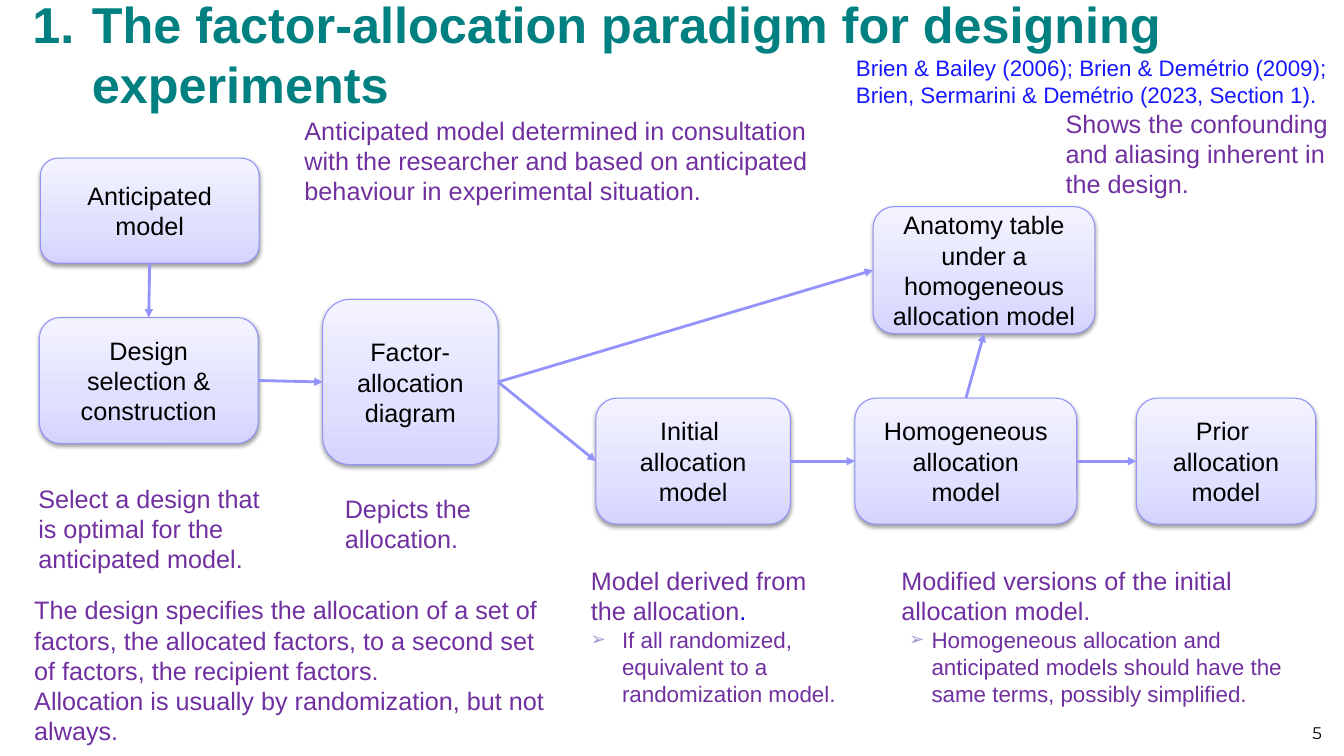
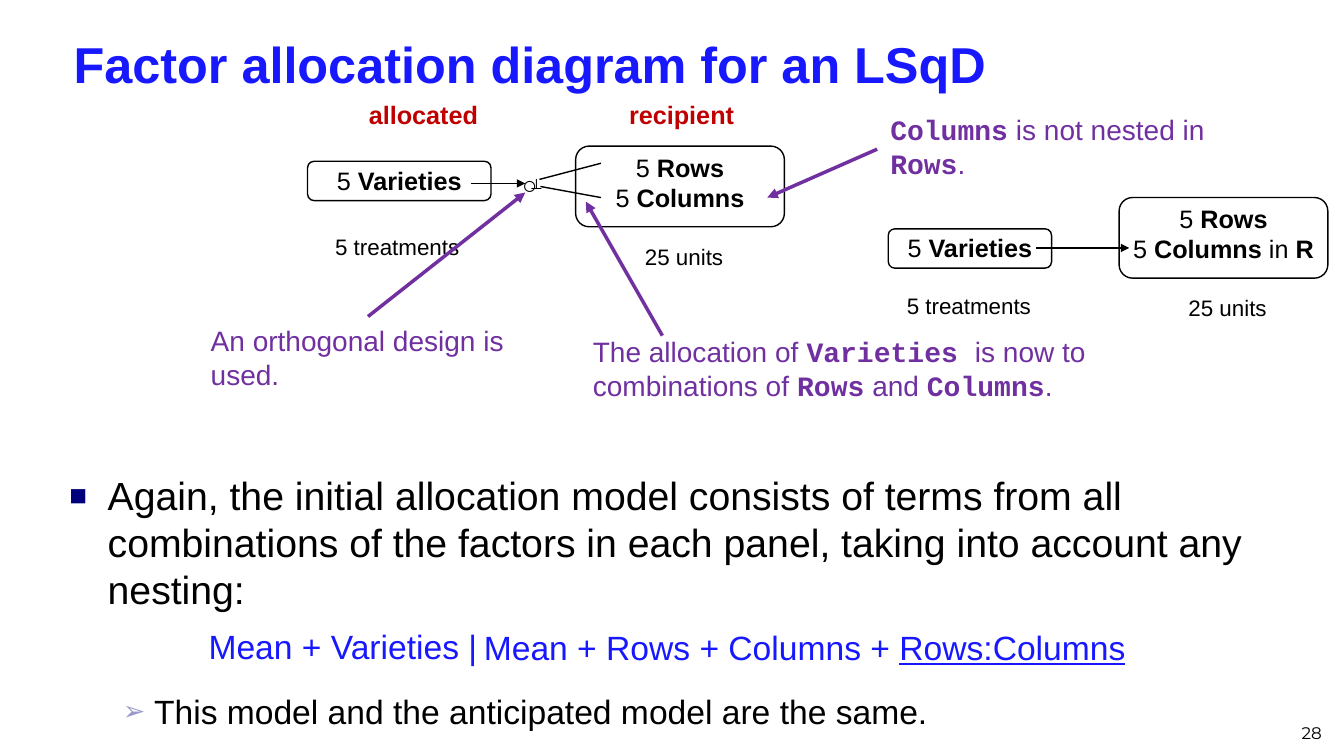
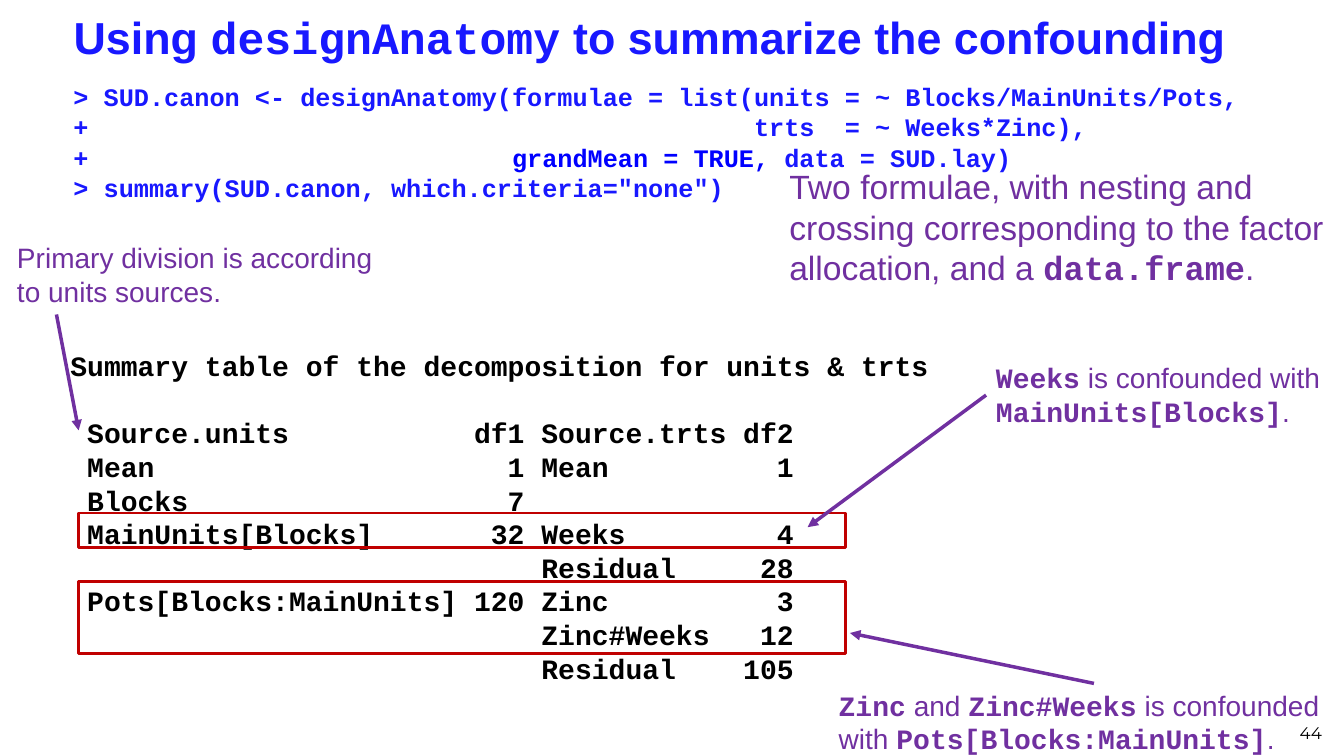
from lxml import etree
from pptx import Presentation
from pptx.dml.color import RGBColor
from pptx.enum.shapes import MSO_CONNECTOR, MSO_SHAPE
from pptx.enum.text import MSO_ANCHOR, MSO_AUTO_SIZE, PP_ALIGN
from pptx.oxml import parse_xml
from pptx.oxml.ns import nsdecls, qn
from pptx.util import Inches, Pt

STRAIGHT = MSO_CONNECTOR.STRAIGHT
RECT, ROUND = MSO_SHAPE.RECTANGLE, MSO_SHAPE.ROUNDED_RECTANGLE
TOP, MIDDLE, BOTTOM = MSO_ANCHOR.TOP, MSO_ANCHOR.MIDDLE, MSO_ANCHOR.BOTTOM
LEFT, CENTER, RIGHT = PP_ALIGN.LEFT, PP_ALIGN.CENTER, PP_ALIGN.RIGHT
NO_FIT = MSO_AUTO_SIZE.NONE

COLORS = {
    "section": "008080", "title": "1818FF", "code": "0000FF", "stop": "0000CC",
    "note": "7030A0", "text": "000000", "mark": "C00000", "node": "9393FC",
    "square": "00007D", "arrowhead": "9999CC",
}
NODE_STOPS = ((0, "D4D4FF"), (35, "E0E0FF"), (100, "F3F3FF"))
SANS, MONO, NUMBER_FONT = "Arial", "Courier New", "Montserrat"

BOLD = {"bold": True}
CODE = {"bold": True, "font": MONO}
NARROW, NORMAL, WIDE = (0.01, 0.02), (0.1, 0.05), (0.13, 0.07)
SITE_TOP, SITE_LEFT, SITE_BOTTOM, SITE_RIGHT = range(4)


def rgb(name):
    return RGBColor.from_string(COLORS[name])


def inches(box):
    return [Inches(v) for v in box]


def write(tf, paras, size, color, align=LEFT, anchor=TOP, inset=NORMAL,
          wrap=True, font=SANS, bold=False):
    """Fill a frame; a paragraph is a list of strings or (string, style) runs."""
    tf.word_wrap = wrap
    tf.auto_size = NO_FIT
    tf.vertical_anchor = anchor
    tf.margin_left = tf.margin_right = Inches(inset[0])
    tf.margin_top = tf.margin_bottom = Inches(inset[1])
    for i, runs in enumerate(paras):
        p = tf.add_paragraph() if i else tf.paragraphs[0]
        p.alignment = align
        for run in runs:
            text, style = (run, {}) if isinstance(run, str) else run
            r = p.add_run()
            r.text = text
            r.font.name = style.get("font", font)
            r.font.size = Pt(style.get("size", size))
            r.font.bold = style.get("bold", bold)
            r.font.color.rgb = rgb(style.get("color", color))
            if style.get("underline"):
                r.font.underline = True


def add_text(s, box, paras, size, color="note", **style):
    tf = s.shapes.add_textbox(*inches(box)).text_frame
    write(tf, paras, size, color, **style)
    return tf


def indent(p, left, hanging):
    pPr = p._p.get_or_add_pPr()
    pPr.set("marL", str(Inches(left)))
    pPr.set("indent", str(-Inches(hanging)))
    return pPr


def bullet(p, char, color, percent, left, hanging):
    pPr = indent(p, left, hanging)
    clr = etree.SubElement(pPr, qn("a:buClr"))
    etree.SubElement(clr, qn("a:srgbClr"), val=COLORS[color])
    etree.SubElement(pPr, qn("a:buSzPct"), val=str(percent * 1000))
    etree.SubElement(pPr, qn("a:buFont"), typeface=SANS)
    etree.SubElement(pPr, qn("a:buChar"), char=char)


def sub_bullet(p, left, hanging):
    bullet(p, "➢", "arrowhead", 80, left, hanging)


def add_line(s, start, end, color, width, arrow=True):
    line = s.shapes.add_connector(STRAIGHT, *inches(start + end))
    line.line.color.rgb = rgb(color)
    line.line.width = Pt(width)
    spPr = line.element.spPr
    if arrow:
        etree.SubElement(spPr.find(qn("a:ln")), qn("a:tailEnd"), type="triangle")
    etree.SubElement(spPr, qn("a:effectLst"))
    return line


def add_outline(s, kind, box, color, width):
    sp = s.shapes.add_shape(kind, *inches(box))
    sp.shadow.inherit = False
    sp.fill.background()
    sp.line.color.rgb = rgb(color)
    sp.line.width = Pt(width)
    return sp


def new_slide(prs, number, title_box, title, size=36, color="title"):
    s = prs.slides.add_slide(prs.slide_layouts[5])
    t = s.shapes.title
    t.left, t.top, t.width, t.height = inches(title_box)
    write(t.text_frame, [title], size, color, anchor=MIDDLE, bold=True)
    add_text(s, (10.1, 6.92, 3.11, 0.5), [[str(number)]], 12, "text",
             align=RIGHT, anchor=BOTTOM, font=NUMBER_FONT)
    return s


def add_node(s, box, lines):
    """Rounded box with a vertical gradient and a soft shadow."""
    sp = s.shapes.add_shape(ROUND, *inches(box))
    sp.line.color.rgb = rgb("node")
    sp.line.width = Pt(0.75)
    stops = "".join(f'<a:gs pos="{pos * 1000}"><a:srgbClr val="{c}"/></a:gs>'
                    for pos, c in NODE_STOPS)
    spPr = sp.element.spPr
    spPr.insert(2, parse_xml(
        f'<a:gradFill {nsdecls("a")} rotWithShape="1"><a:gsLst>{stops}</a:gsLst>'
        '<a:lin ang="16200000" scaled="0"/></a:gradFill>'))
    spPr.append(parse_xml(
        f'<a:effectLst {nsdecls("a")}><a:outerShdw blurRad="40000" dist="20000" '
        'dir="5400000" rotWithShape="0"><a:srgbClr val="000000">'
        '<a:alpha val="38000"/></a:srgbClr></a:outerShdw></a:effectLst>'))
    write(sp.text_frame, [[line] for line in lines], 18, "text",
          align=CENTER, anchor=MIDDLE, inset=WIDE)
    return sp


def link(s, source, source_site, target, target_site):
    line = add_line(s, (0, 0), (1, 1), "node", 2)
    line.begin_connect(source, source_site)
    line.end_connect(target, target_site)


def paradigm_flow(s):
    anticipated = add_node(s, (0.4, 1.57, 2.17, 1.04), ["Anticipated", "model"])
    design = add_node(s, (0.39, 3.15, 2.17, 1.25),
                      ["Design selection &", "construction"])
    diagram = add_node(s, (3.2, 2.97, 1.74, 1.64), ["Factor-allocation diagram"])
    anatomy = add_node(s, (8.66, 2.05, 2.2, 1.26),
                       ["Anatomy table under a", "homogeneous allocation model"])
    initial, homogeneous, prior = [
        add_node(s, (x, 3.95, w, 1.25), lines) for x, w, lines in (
            (5.91, 1.93, ["Initial ", "allocation model"]),
            (8.48, 2.2, ["Homogeneous allocation", "model"]),
            (11.27, 1.78, ["Prior ", "allocation model"]))]
    link(s, anticipated, SITE_BOTTOM, design, SITE_TOP)
    link(s, homogeneous, SITE_TOP, anatomy, SITE_BOTTOM)
    for source, target in ((design, diagram), (diagram, anatomy),
                           (diagram, initial), (initial, homogeneous),
                           (homogeneous, prior)):
        link(s, source, SITE_RIGHT, target, SITE_LEFT)


def paradigm_notes(s):
    for box, paras in (
        ((2.89, 1.07, 5.27, 0.97),
         [["Anticipated model determined in consultation with the researcher "
           "and based on anticipated behaviour in experimental situation."]]),
        ((0.25, 4.72, 2.48, 1.18),
         [["Select a design that is optimal for the anticipated model."]]),
        ((0.21, 5.83, 5.43, 1.58),
         [["The design specifies the allocation of a set of factors, the "
           "allocated factors, to a second set of factors, the recipient factors."],
          ["Allocation is usually by randomization, but not always."]]),
        ((3.29, 4.82, 1.56, 0.75), [["Depicts the allocation."]]),
        ((10.44, 1, 3.07, 1.11),
         [["Shows the confounding and aliasing inherent in the design."]]),
    ):
        add_text(s, box, paras, 18, inset=WIDE)
    small = {"size": 16}
    for box, paras, left, hanging in (
        ((5.73, 5.54, 2.75, 1.58),
         [["Model derived from the allocation", (".", {"color": "stop"})],
          [("If all randomized, equivalent to a randomization model.", small)]],
         0.31, 0.31),
        ((8.81, 5.54, 4.34, 1.58),
         [["Modified versions of the initial allocation model."],
          [("Homogeneous allocation and anticipated models should have the "
            "same terms, possibly simplified.", small)]],
         0.3, 0.22),
    ):
        tf = add_text(s, box, paras, 18, inset=WIDE)
        sub_bullet(tf.paragraphs[1], left, hanging)
    add_text(s, (8.36, 0.47, 5.03, 0.68),
             [["Brien & Bailey (2006); Brien & Demétrio (2009);"],
              ["Brien, Sermarini & Demétrio (2023, Section 1)."]],
             16, "title", inset=WIDE)


def paradigm_slide(prs):
    s = new_slide(prs, 5, (0.22, 0.05, 12.6, 0.96),
                  ["1.\tThe factor-allocation paradigm for designing experiments"],
                  color="section")
    indent(s.shapes.title.text_frame.paragraphs[0], 0.59, 0.59)
    paradigm_flow(s)
    paradigm_notes(s)


def factor_panel(s, box, factors, caption, caption_box):
    """Outlined list of factors; caption_box is (dx, dy, width) from the box."""
    sp = add_outline(s, ROUND, box, "text", 1)
    write(sp.text_frame, factors, 18, "text", align=CENTER, inset=NARROW)
    dx, dy, width = caption_box
    add_text(s, (box[0] + dx, box[1] + dy, width, 0.37), [[caption]], 16,
             "text", align=CENTER)


def treatments_panel(s, x, y, width, caption_box):
    factor_panel(s, (x, y, width, 0.39), [["5 ", ("Varieties", BOLD)]],
                 "5 treatments", caption_box)


def units_panel(s, x, y, nesting=()):
    factor_panel(s, (x, y, 2.07, 0.8),
                 [["5 ", ("Rows", BOLD)], ["5 ", ("Columns", BOLD), *nesting]],
                 "25 units", (0.25, 0.91, 1.65))


def allocation_diagram(s):
    add_text(s, (5.08, 1.63, 0.42, 0.4), [["○"]], 18, "text", wrap=False)
    add_text(s, (5.14, 1.66, 0.31, 0.3), [["⊥"]], 12, "text")
    add_line(s, (5.36, 1.85), (5.96, 1.96), "text", 1, arrow=False)
    add_line(s, (5.35, 1.78), (5.96, 1.62), "text", 1, arrow=False)
    add_line(s, (4.67, 1.82), (5.21, 1.82), "text", 1)
    treatments_panel(s, 3.05, 1.6, 1.82, (0.11, 0.66, 1.56))
    units_panel(s, 5.71, 1.45)
    for x, width, heading in ((3.47, 1.46, "allocated"), (6.12, 1.28, "recipient")):
        add_text(s, (x, 0.94, width, 0.4), [[heading]], 18, "mark",
                 align=CENTER, bold=True)


def nested_diagram(s):
    treatments_panel(s, 8.81, 2.27, 1.62, (0.07, 0.58, 1.46))
    units_panel(s, 11.1, 1.96, (" in ", ("R", BOLD)))
    add_line(s, (10.28, 2.46), (11.2, 2.46), "text", 1)


def add_callout(s, box, runs, start=None, end=None, size=20, inset=NORMAL):
    add_text(s, box, [runs], size, inset=inset)
    if start:
        add_line(s, start, end, "note", 2.5)


def latin_square_slide(prs):
    s = new_slide(prs, 28, (0.63, 0.23, 12.6, 0.79),
                  ["Factor allocation diagram for an LSqD"])
    tf = add_text(s, (0.59, 4.63, 12.6, 1.57),
                  [["Again, the initial allocation model consists of terms from "
                    "all combinations of the factors in each panel, taking into "
                    "account any nesting:"]], 28, "text")
    bullet(tf.paragraphs[0], "■", "square", 75, 0.38, 0.38)
    allocation_diagram(s)
    nested_diagram(s)
    add_callout(s, (8.7, 1.05, 3.39, 0.86),
                [("Columns", CODE), " is not nested in ", ("Rows", CODE), "."],
                (8.7, 1.48), (7.61, 1.96), inset=WIDE)
    add_callout(s, (5.75, 3.25, 5.37, 0.86),
                ["The allocation of ", ("Varieties ", CODE),
                 "is now to combinations of ", ("Rows", CODE), " and ",
                 ("Columns", CODE), "."],
                (6.57, 3.33), (5.81, 2), inset=WIDE)
    add_callout(s, (1.96, 3.14, 3.39, 0.86), ["An orthogonal design is used."],
                (3.65, 3.14), (5.21, 1.91), inset=WIDE)
    add_text(s, (1.97, 6.16, 2.93, 0.5), [["Mean + Varieties |"]], 24, "title")
    add_text(s, (4.7, 6.17, 6.75, 0.5),
             [["Mean + Rows + Columns + ", ("Rows:Columns", {"underline": True})]],
             24, "title")
    tf = add_text(s, (0.62, 6.81, 12.71, 0.53),
                  [["This model and the anticipated model are the same."]],
                  24, "text")
    sub_bullet(tf.paragraphs[0], 0.81, 0.31)


def anatomy_listing(s):
    add_text(s, (0.63, 0.76, 12.6, 1.36), [
        ["> SUD.canon <- designAnatomy(formulae = list(units = ~ Blocks/MainUnits/Pots,"],
        ["+                                            trts  = ~ Weeks*Zinc),"],
        ["+                            ",
         ("grandMean = TRUE, ", {"color": "code", "bold": True}),
         "data = SUD.lay)"],
        ['> summary(SUD.canon, which.criteria="none")'],
    ], 18, "title", font=MONO, bold=True)
    tf = add_text(s, (0.6, 3.41, 12.6, 3.15), [[line] for line in (
        "Summary table of the decomposition for units & trts",
        " Source.units           df1 Source.trts df2",
        " Mean                     1 Mean          1",
        " Blocks                   7",
        " MainUnits[Blocks]       32 Weeks         4",
        "                            Residual     28",
        " Pots[Blocks:MainUnits] 120 Zinc          3",
        "                            Zinc#Weeks   12",
        "                            Residual    105",
    )], 20, "text", font=MONO, bold=True)
    tf.paragraphs[1].space_before = Pt(24)
    for y, height in ((5.09, 0.34), (5.77, 0.71)):
        add_outline(s, RECT, (0.78, y, 7.61, height), "mark", 2)


def anatomy_slide(prs):
    s = new_slide(prs, 44, (0.63, -0.03, 12.6, 0.79),
                  ["Using ", ("designAnatomy", CODE),
                   " to summarize the confounding"], size=32)
    anatomy_listing(s)
    add_callout(s, (7.73, 1.6, 5.59, 1.26),
                ["Two formulae, with nesting and crossing corresponding to the "
                 "factor allocation, and a ", ("data.frame", CODE), "."], size=24)
    add_callout(s, (9.78, 3.53, 3.54, 0.77),
                [("Weeks", CODE), " is confounded with ",
                 ("MainUnits[Blocks]", CODE), "."], (9.78, 3.92), (8.01, 5.23))
    add_callout(s, (8.22, 6.78, 5.26, 0.77),
                [("Zinc", CODE), " and ", ("Zinc#Weeks", CODE),
                 " is confounded with ", ("Pots[Blocks:MainUnits]", CODE), "."],
                (10.85, 6.78), (8.43, 6.28))
    add_callout(s, (0.07, 2.34, 3.78, 0.77),
                ["Primary division is according to units sources."],
                (0.56, 3.12), (0.78, 4.27))


def main():
    prs = Presentation()
    prs.slide_width, prs.slide_height = Inches(13.33), Inches(7.5)
    paradigm_slide(prs)
    latin_square_slide(prs)
    anatomy_slide(prs)
    prs.save("out.pptx")


if __name__ == "__main__":
    main()
